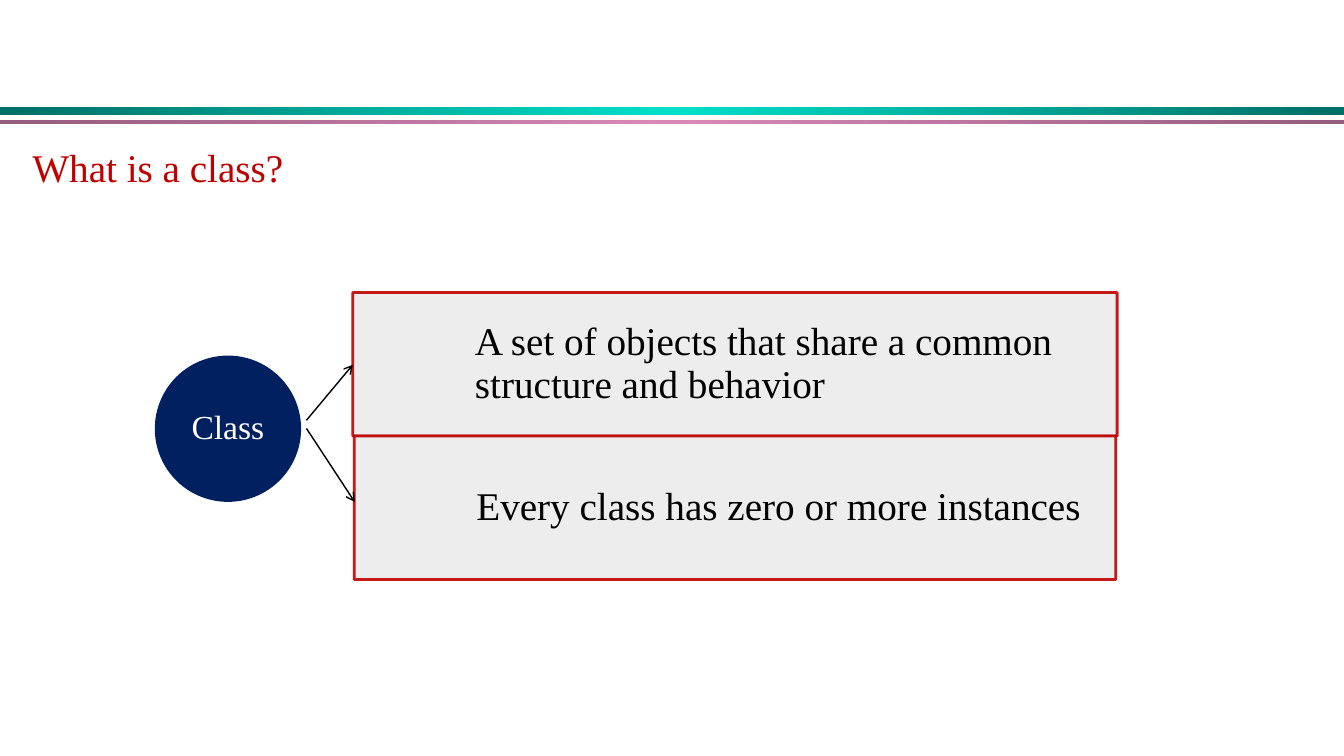
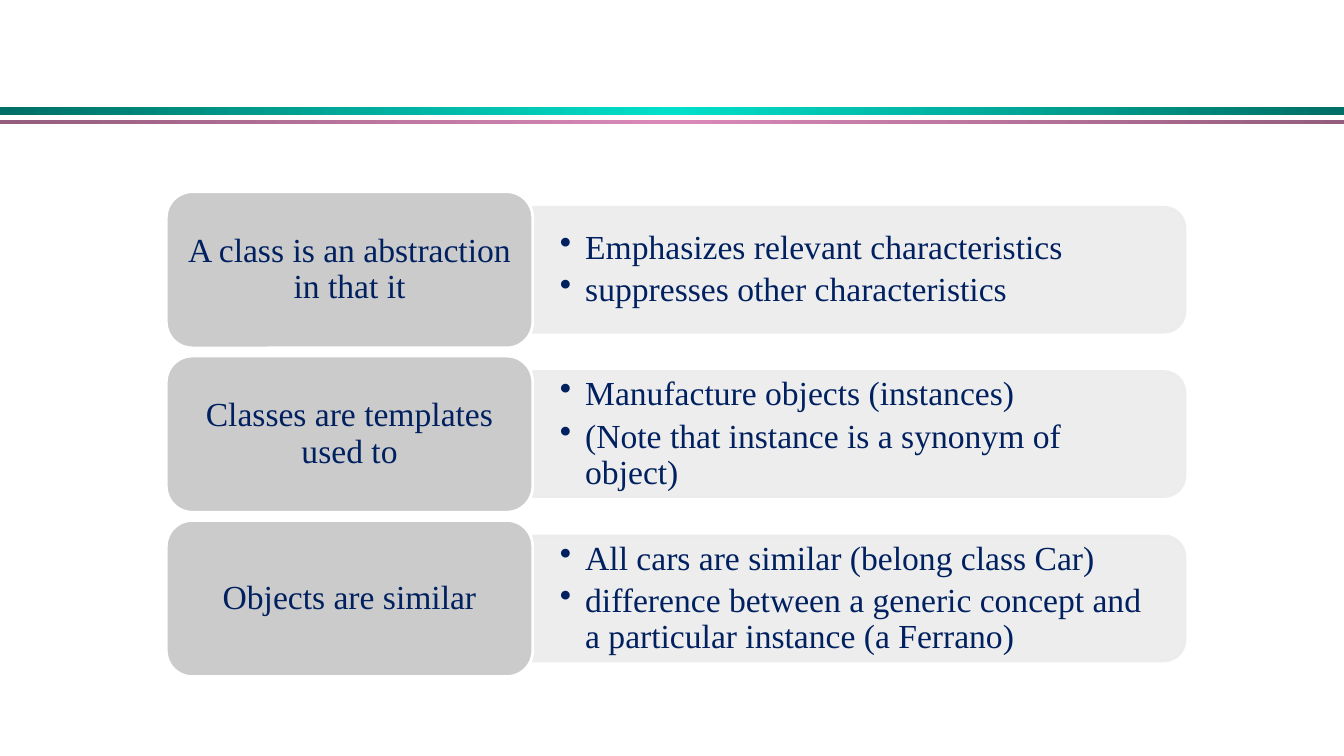
import copy

import pptx
import pptx.dml.color
import pptx.enum.shapes
import pptx.enum.text
import pptx.oxml
import pptx.oxml.ns
import pptx.util

Pt = pptx.util.Pt
SHAPE = pptx.enum.shapes.MSO_SHAPE
ALIGN = pptx.enum.text.PP_ALIGN
MIDDLE = pptx.enum.text.MSO_ANCHOR.MIDDLE
qn = pptx.oxml.ns.qn
colour = pptx.dml.color.RGBColor.from_string

FONT = "Times New Roman"
NAVY, RED, BLACK, WHITE = "002060", "C00000", "000000", "FFFFFF"
PALE, GREY = "ECECEC", "CBCBCB"


def paint(shape, fill, line, opacity=100):
    """Give a shape a flat fill and a 2 pt outline, both at one opacity."""
    shape.shadow.inherit = False
    shape.fill.solid()
    shape.fill.fore_color.rgb = colour(fill)
    shape.line.color.rgb = colour(line)
    shape.line.width = Pt(2)
    if opacity < 100:
        for tint in shape.element.spPr.iter(qn("a:srgbClr")):
            pptx.oxml.ns.qn("a:alpha")
            alpha = tint.makeelement(qn("a:alpha"), {"val": str(opacity * 1000)})
            tint.append(alpha)


def write(shape, lines, size, ink, insets=(7.2, 3.6, 7.2, 3.6), bullet=None, **para_format):
    """Fill a shape with paragraphs; insets run left, top, right, bottom."""
    frame = shape.text_frame
    frame.word_wrap = True
    for side, inset in zip(("left", "top", "right", "bottom"), insets):
        setattr(frame, f"margin_{side}", Pt(inset))
    for index, line in enumerate(lines):
        para = frame.add_paragraph() if index else frame.paragraphs[0]
        for name, value in ({"alignment": ALIGN.LEFT} | para_format).items():
            setattr(para, name, value)
        span = para.add_run()
        span.text = line
        for name, value in {"name": FONT, "size": Pt(size)}.items():
            setattr(span.font, name, value)
        span.font.color.rgb = colour(ink)
        if bullet:
            properties = para._p.get_or_add_pPr()
            properties.set("marL", str(Pt(18)))
            properties.set("indent", str(-Pt(18)))
            properties.append(properties.makeelement(qn("a:buChar"), {"char": bullet}))


deck = pptx.Presentation()
deck.slide_width, deck.slide_height = Pt(960), Pt(540)
blank = deck.slide_layouts[6]
class_page, template_page = [deck.slides.add_slide(blank) for _ in range(2)]

# Gradient bands, moved to the layout so that every page shows them
for top, height, edge, centre in (
    (76.3, 5.8, "006F65", "00DFCA"),
    (85.7, 2.9, "945D7D", "D989B8"),
):
    band = class_page.shapes.add_shape(SHAPE.RECTANGLE, 0, Pt(top), Pt(960), Pt(height))
    band.shadow.inherit = False
    band.line.fill.background()
    band.fill.gradient()
    band.fill.gradient_angle = 0
    stop_list = next(band.element.spPr.iter(qn("a:gsLst")))
    stop_list.append(copy.deepcopy(stop_list[0]))
    for stop, position, tint in zip(band.fill.gradient_stops, (0, 0.5, 1), (edge, centre, edge)):
        stop.position = position
        stop.color.rgb = colour(tint)
    blank.shapes.element.append(band.element)

# Page 1: heading
heading = class_page.shapes.add_textbox(Pt(16), Pt(99), Pt(902), Pt(50))
write(heading, ["What is a class?"], 28, RED)

# Page 1: statements
for left, top, width, statement in (
    (252, 209, 546, "A set of objects that share a common structure and behavior"),
    (253, 311.5, 544, "Every class has zero or more instances"),
):
    panel = class_page.shapes.add_shape(SHAPE.RECTANGLE, Pt(left), Pt(top), Pt(width), Pt(102.5))
    paint(panel, PALE, RED, 90)
    panel.text_frame.vertical_anchor = MIDDLE
    write(panel, [statement], 28, BLACK, (87.3, 16, 16, 16), line_spacing=0.9)

# Page 1: class circle
circle = class_page.shapes.add_shape(SHAPE.OVAL, Pt(111.6), Pt(255), Pt(102.5), Pt(102.5))
paint(circle, NAVY, NAVY)
circle.text_frame.vertical_anchor = MIDDLE
write(circle, ["Class"], 24, WHITE, (0, 0, 0, 0), alignment=ALIGN.CENTER, line_spacing=0.9)

# Page 1: arrows from the circle to the statements
for start_y, end_x, end_y in ((300.2, 252, 260.6), (306, 253.4, 358.6)):
    arrow = class_page.shapes.add_connector(
        pptx.enum.shapes.MSO_CONNECTOR.STRAIGHT, Pt(218.9), Pt(start_y), Pt(end_x), Pt(end_y)
    )
    arrow.line.color.rgb = colour(BLACK)
    arrow.line.width = Pt(1)
    outline = arrow.line._get_or_add_ln()
    outline.append(outline.makeelement(qn("a:tailEnd"), {"type": "arrow"}))
    properties = arrow.element.spPr
    properties.append(properties.makeelement(qn("a:effectLst"), {}))

# Page 2: rows of a label and its points
ROWS = (
    ("A class is an abstraction in that it",
     ["Emphasizes relevant characteristics", "suppresses other characteristics"]),
    ("Classes are templates used to",
     ["Manufacture objects (instances)", "(Note that instance is a synonym of object)"]),
    ("Objects are similar",
     ["All cars are similar (belong class Car)",
      "difference between a generic concept and a particular instance (a Ferrano)"]),
)
LABEL_LEFT, LABEL_WIDTH, LABEL_HEIGHT = 118.8, 261.8, 111.6
PANEL_LEFT, PANEL_WIDTH, PANEL_HEIGHT = 380.6, 465.8, 89.3
FIRST_TOP, ROW_STEP = 136.9, 117.4

for row, (label_text, points) in enumerate(ROWS):
    top = FIRST_TOP + row * ROW_STEP
    middle = top + LABEL_HEIGHT / 2

    # The panel is turned by 90 degrees so that its right corners are round
    panel = template_page.shapes.add_shape(
        SHAPE.ROUND_2_SAME_RECTANGLE,
        Pt(PANEL_LEFT + (PANEL_WIDTH - PANEL_HEIGHT) / 2), Pt(middle - PANEL_WIDTH / 2),
        Pt(PANEL_HEIGHT), Pt(PANEL_WIDTH),
    )
    panel.rotation = 90
    paint(panel, PALE, PALE, 90)

    box = template_page.shapes.add_textbox(Pt(PANEL_LEFT), Pt(middle - 40.3), Pt(461.5), Pt(80.6))
    box.text_frame.vertical_anchor = MIDDLE
    write(box, points, 24, NAVY, (19.4, 10, 19.4, 10), "•", line_spacing=0.9, space_after=Pt(4.3))

    label = template_page.shapes.add_shape(
        SHAPE.ROUNDED_RECTANGLE, Pt(LABEL_LEFT), Pt(top), Pt(LABEL_WIDTH), Pt(LABEL_HEIGHT)
    )
    paint(label, GREY, WHITE)
    label.text_frame.vertical_anchor = MIDDLE
    write(label, [label_text], 24, NAVY, alignment=ALIGN.CENTER, line_spacing=0.9)

deck.save("out.pptx")
